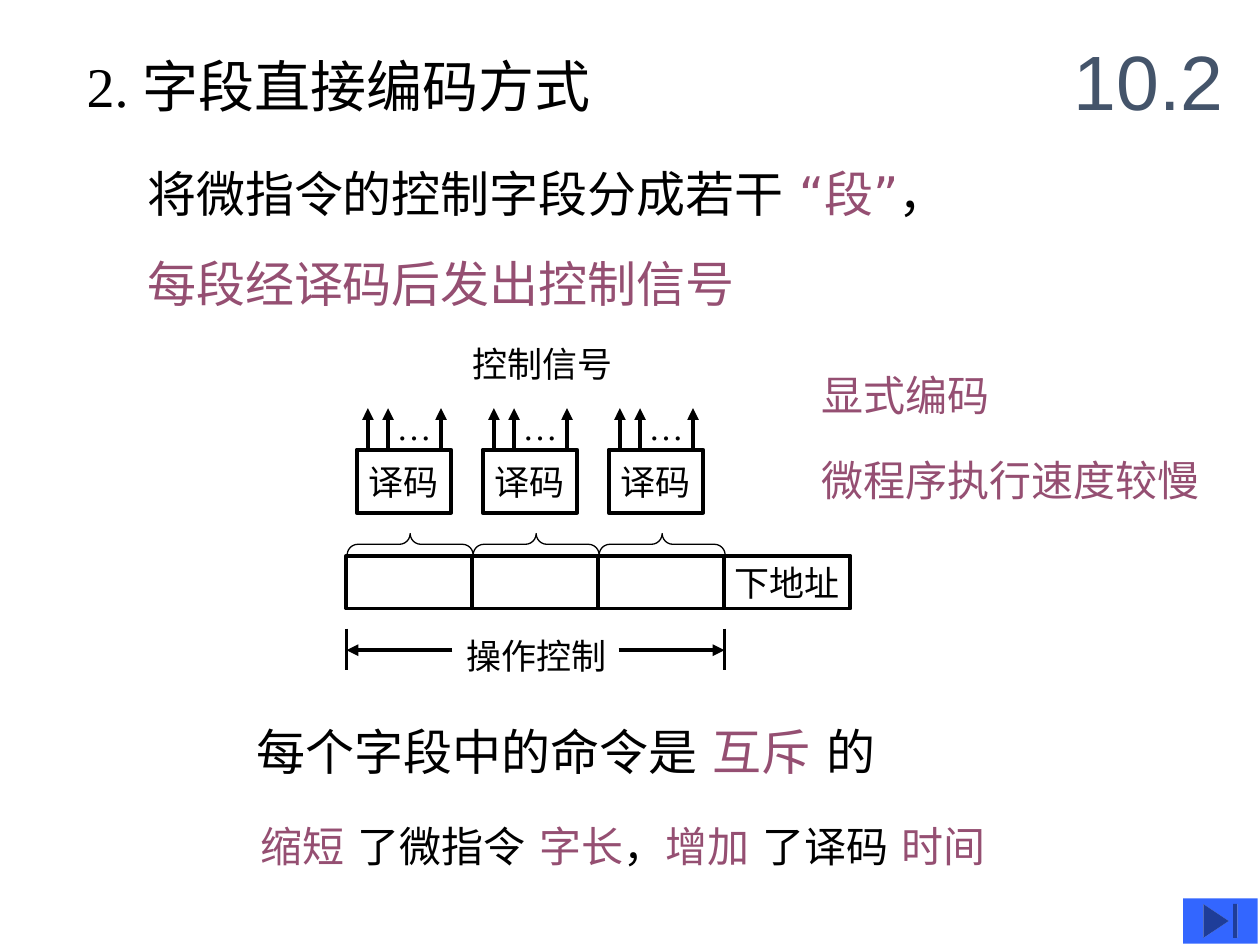
from lxml import etree
from pptx import Presentation
from pptx import util as u
from pptx.dml.color import RGBColor
from pptx.enum import lang, shapes, text
from pptx.oxml import ns

BLACK = "000000"
PLUM = "954F72"
SLATE = "44546A"
BLUE = "3366FF"
SERIF = "Times New Roman"
SANS = "DejaVu Sans"
LATIN = "Arial"
ELLIPSIS = "…"


def color(value):
    return RGBColor.from_string(value)


class SlideBuilder:
    def __init__(self, slide):
        self.slide = slide
        self.line_width = u.Pt(2.25)

    def add_run(self, paragraph, words, size, font, hue):
        run = paragraph.add_run()
        run.text = words
        run.font.size = u.Pt(size)
        run.font.name = font
        run.font.color.rgb = color(hue)
        run.font.language_id = lang.MSO_LANGUAGE_ID.SIMPLIFIED_CHINESE
        if font != LATIN:
            east_asian = etree.SubElement(run.font._element, ns.qn("a:ea"))
            east_asian.set("typeface", SERIF if words == ELLIPSIS else SANS)

    def fill_frame(self, frame, paragraphs, size, font, wrap=False, gap=0,
                   align=text.PP_ALIGN.LEFT, anchor=text.MSO_ANCHOR.TOP):
        frame.word_wrap = wrap
        frame.vertical_anchor = anchor
        for index, runs in enumerate(paragraphs):
            paragraph = frame.add_paragraph() if index else frame.paragraphs[0]
            paragraph.alignment = align
            if index:
                paragraph.space_before = u.Pt(gap)
            for words, hue, *own_font in runs:
                self.add_run(paragraph, words, size, own_font[0] if own_font else font, hue)

    def place(self, shape, box):
        shape.left, shape.top, shape.width, shape.height = map(u.Inches, box)

    def title(self, box, words):
        title = self.slide.shapes.title
        self.place(title, box)
        self.fill_frame(title.text_frame, [[(words, SLATE)]], 44, LATIN, wrap=True,
                        anchor=text.MSO_ANCHOR.MIDDLE)

    def text_box(self, box, paragraphs, size, font=SERIF, **options):
        shape = self.slide.shapes.add_textbox(*map(u.Inches, box))
        self.fill_frame(shape.text_frame, paragraphs, size, font, **options)
        shape.text_frame.auto_size = text.MSO_AUTO_SIZE.SHAPE_TO_FIT_TEXT

    def outline(self, kind, box, width=None):
        shape = self.slide.shapes.add_shape(kind, *map(u.Inches, box))
        shape.shadow.inherit = False
        shape.fill.background()
        shape.line.color.rgb = color(BLACK)
        shape.line.width = width or self.line_width
        return shape

    def cell(self, box, words=None):
        shape = self.outline(shapes.MSO_SHAPE.RECTANGLE, box)
        if words:
            self.fill_frame(shape.text_frame, [[(words, BLACK)]], 20, SERIF,
                            align=text.PP_ALIGN.CENTER, anchor=text.MSO_ANCHOR.MIDDLE)

    def brace(self, box):
        shape = self.outline(shapes.MSO_SHAPE.LEFT_BRACE, box, u.Pt(0.75))
        shape.adjustments[0] = 0.5
        shape.rotation = 90

    def line(self, start, end, arrow=False):
        connector = self.slide.shapes.add_connector(
            shapes.MSO_CONNECTOR.STRAIGHT, *map(u.Inches, start + end))
        connector.line.color.rgb = color(BLACK)
        connector.line.width = self.line_width
        if arrow:
            head = etree.SubElement(connector.line._get_or_add_ln(), ns.qn("a:tailEnd"))
            head.set("type", "triangle")
        etree.SubElement(connector._element.spPr, ns.qn("a:effectLst"))

    def end_button(self, box):
        button = self.slide.shapes.add_shape(
            shapes.MSO_SHAPE.ACTION_BUTTON_END, *map(u.Inches, box))
        button.shadow.inherit = False
        button.fill.solid()
        button.fill.fore_color.rgb = color(BLUE)
        button.line.fill.background()

    def decoder(self, left):
        self.cell((left + 0.08, 3.57, 0.75, 0.5), "译码")
        for offset in (0.17, 0.33, 0.75):
            self.line((left + offset, 3.57), (left + offset, 3.24), arrow=True)
        self.text_box((left + 0.3, 3.17, 0.48, 0.44), [[(ELLIPSIS, BLACK)]], 20)
        self.cell((left, 4.41, 1, 0.42))
        self.brace((left + 0.42, 3.82, 0.17, 1))


def main():
    presentation = Presentation()
    presentation.slide_width = u.Inches(10)
    presentation.slide_height = u.Inches(7.5)
    builder = SlideBuilder(presentation.slides.add_slide(presentation.slide_layouts[5]))

    builder.title((8.42, 0.17, 1.58, 0.92), "10.2")
    builder.text_box((0.59, 0.36, 8.66, 0.64),
                     [[("2. ", BLACK, SERIF), ("字段直接编码方式", BLACK)]],
                     32, SANS, wrap=True)
    builder.text_box((1.07, 1.25, 8.35, 1.28), [
        [("将微指令的控制字段分成若干 ", BLACK), ("“", PLUM, LATIN), ("段", PLUM),
         ("”", PLUM, LATIN), ("，", BLACK)],
        [("每段经译码后发出控制信号", PLUM)],
    ], 28, SANS, wrap=True, gap=17.5)

    first_field, field_count = 2.75, 3
    fields_end = first_field + field_count
    for index in range(field_count):
        builder.decoder(first_field + index)
    builder.cell((fields_end, 4.41, 1, 0.42), "下地址")

    for edge, inner in ((first_field, 3.59), (fields_end, 4.91)):
        builder.line((edge, 4.99), (edge, 5.32))
        builder.line((inner, 5.16), (edge, 5.16), arrow=True)
    builder.text_box((3.6, 4.99, 1.31, 0.44), [[("操作控制", BLACK)]], 20)
    builder.text_box((3.65, 2.67, 1.31, 0.44), [[("控制信号", BLACK)]], 20)

    builder.text_box((6.42, 2.88, 2.36, 0.5), [[("显式编码", PLUM)]], 24, wrap=True)
    builder.text_box((6.42, 3.56, 3.4, 0.5), [[("微程序执行速度较慢", PLUM)]], 24, wrap=True)
    builder.text_box((1.94, 5.68, 5.75, 0.57),
                     [[("每个字段中的命令是 ", BLACK), ("互斥 ", PLUM), ("的", BLACK)]],
                     28, SANS, wrap=True)
    builder.text_box((1.97, 6.46, 6.3, 0.5), [[
        ("缩短 ", PLUM), ("了微指令 ", BLACK), ("字长", PLUM), ("，", BLACK),
        ("增加 ", PLUM), ("了译码 ", BLACK), ("时间", PLUM),
    ]], 24, wrap=True)
    builder.end_button((9.39, 7.13, 0.59, 0.36))

    presentation.save("out.pptx")


if __name__ == "__main__":
    main()
